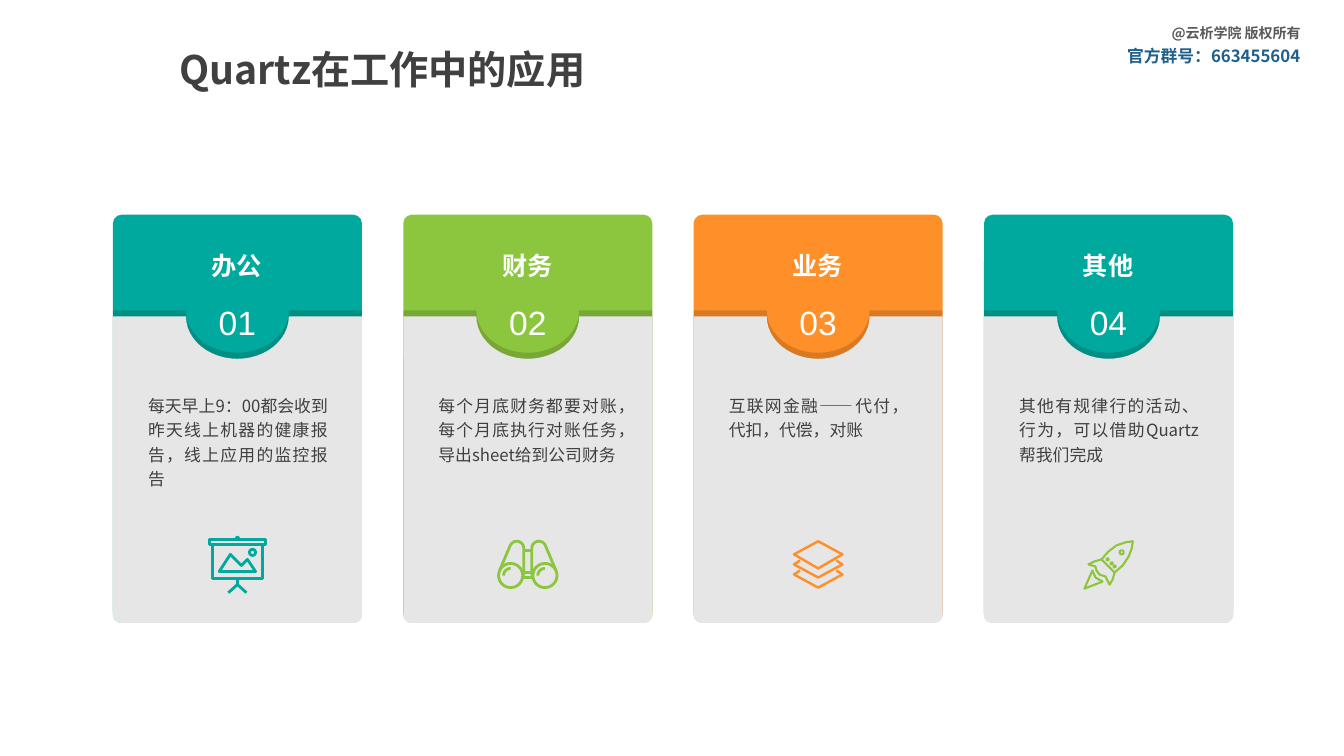
from dataclasses import dataclass
from math import cos, radians, sin

from lxml.etree import SubElement
from pptx import Presentation
from pptx.dml.color import RGBColor
from pptx.enum.lang import MSO_LANGUAGE_ID
from pptx.enum.shapes import MSO_SHAPE
from pptx.enum.text import MSO_ANCHOR, PP_ALIGN
from pptx.oxml.ns import qn
from pptx.util import Inches, Pt

Points = list[tuple[float, float]]


@dataclass(frozen=True)
class Theme:
    teal: str = "00A99D"
    green: str = "8CC63F"
    orange: str = "FF8F29"
    panel: str = "E7E6E6"
    dark: str = "404040"
    gray: str = "595959"
    blue: str = "1F608B"
    white: str = "FFFFFF"
    cjk: str = "Noto Sans CJK SC"
    latin: str = "Arial"
    title: int = 28
    number: int = 24
    heading: int = 18
    body: int = 12
    small: int = 10


@dataclass(frozen=True)
class Stroke:
    points: Points
    closed: bool = True


@dataclass(frozen=True)
class Icon:
    strokes: list[Stroke]
    color: str
    width: float


@dataclass(frozen=True)
class Card:
    heading: str
    body: str
    color: str
    icon: Icon


T = Theme()


# Geometry helpers, in inches; angles run clockwise from the right
def arc(cx: float, cy: float, rx: float, ry: float, start: int, end: int) -> Points:
    steps = 24
    angles = [radians(start + (end - start) * i / steps) for i in range(steps + 1)]
    return [(cx + rx * cos(a), cy + ry * sin(a)) for a in angles]


def ring(cx: float, cy: float, radius: float) -> Stroke:
    return Stroke(arc(cx, cy, radius, radius, 0, 360))


def box(x1: float, y1: float, x2: float, y2: float) -> Stroke:
    return Stroke([(x1, y1), (x2, y1), (x2, y2), (x1, y2)])


# Icon outlines, measured from the icon centre
screen = [
    ring(0, -0.26, 0.01), box(-0.28, -0.25, 0.28, -0.2), box(-0.25, -0.2, 0.25, 0.14),
    Stroke([(0, 0.14), (0, 0.2)], False),
    Stroke([(-0.09, 0.28), (0, 0.2), (0.09, 0.28)], False),
    ring(0.15, -0.12, 0.03),
    Stroke([(-0.18, 0.07), (-0.07, -0.1), (0.04, 0.01), (0.1, -0.05), (0.18, 0.07)]),
]
binoculars = [Stroke([(-0.04, y), (0.04, y)], False) for y in (-0.14, 0.08, 0.13)]
for side in (-1, 1):
    tube = [(-0.28, 0.06), *arc(-0.11, -0.16, 0.07, 0.07, 200, 360), (-0.04, 0.11)]
    binoculars += [
        ring(side * 0.17, 0.11, 0.12),
        Stroke([(-side * x, y) for x, y in tube], False),
        Stroke(arc(side * 0.17, 0.11, 0.07, 0.07, 180, 270), False),
    ]
layers = [Stroke([(0, -0.23), (0.24, -0.1), (0, 0.04), (-0.24, -0.1)])] + [
    Stroke([(0.18, y - 0.04), (0.24, y), (0, y + 0.13), (-0.24, y), (-0.18, y - 0.04)], False)
    for y in (0, 0.1)
]
rocket = [
    Stroke([(0.24, -0.23), (0.17, -0.22), (0.08, -0.19), (0, -0.13), (-0.07, -0.05),
            (0.06, 0.08), (0.14, 0.01), (0.2, -0.08), (0.23, -0.16)]),
    Stroke([(-0.07, -0.05), (-0.14, -0.03), (-0.2, 0), (-0.13, 0.02), (-0.12, 0.06),
            (-0.09, 0.1), (-0.03, 0.12), (0.01, 0.2), (0.04, 0.15), (0.06, 0.08)], False),
    Stroke([(-0.16, 0.06), (-0.24, 0.24), (-0.06, 0.17), (-0.13, 0.13)]),
    ring(0.13, -0.12, 0.02),
    *[ring(d, d - 0.04, 0.01) for d in (-0.01, 0.03, 0.06)],
]

CARDS = [
    Card("办公", "每天早上9：00都会收到昨天线上机器的健康报告，线上应用的监控报告",
         T.teal, Icon(screen, T.teal, 2)),
    Card("财务", "每个月底财务都要对账，每个月底执行对账任务，导出sheet给到公司财务",
         T.green, Icon(binoculars, T.green, 2)),
    Card("业务", "互联网金融——代付，代扣，代偿，对账", T.orange, Icon(layers, T.orange, 1.75)),
    Card("其他", "其他有规律行的活动、行为，可以借助Quartz帮我们完成",
         T.teal, Icon(rocket, T.green, 1.5)),
]
LEFT, PITCH, WIDTH = 1.12, 2.88, 2.47
TOP, SPLIT, BOTTOM = 2.13, 3.14, 6.18
ICON_Y = 5.6


def rgb(color: str) -> RGBColor:
    return RGBColor.from_string(color)


def write(sp, text: str, size: int, color: str, bold: bool = False, font: str = T.cjk,
          align=PP_ALIGN.LEFT, spacing: float = 1.0, wrap: bool = True,
          anchor=MSO_ANCHOR.TOP) -> None:
    tf = sp.text_frame
    p = tf.paragraphs[0]
    r = p.add_run()
    r.text = text
    r.font.color.rgb = rgb(color)
    formats = {
        tf: {"word_wrap": wrap, "vertical_anchor": anchor},
        p: {"alignment": align, "line_spacing": spacing},
        r.font: {"size": Pt(size), "bold": bold, "name": font,
                 "language_id": MSO_LANGUAGE_ID.SIMPLIFIED_CHINESE},
    }
    for target, values in formats.items():
        for name, value in values.items():
            setattr(target, name, value)
    SubElement(r.font._element, qn("a:ea")).set("typeface", font)


def add_text(s, x: float, y: float, w: float, h: float, text: str, size: int,
             color: str, **style) -> None:
    sp = s.shapes.add_textbox(Inches(x), Inches(y), Inches(w), Inches(h))
    write(sp, text, size, color, **style)


def add_outline(s, strokes: list[Stroke], dx: float = 0, dy: float = 0):
    contours = [[(Inches(x + dx), Inches(y + dy)) for x, y in k.points] for k in strokes]
    builder = s.shapes.build_freeform(*contours[0][0])
    for i, (stroke, points) in enumerate(zip(strokes, contours)):
        if i:
            builder.move_to(*points[0])
        builder.add_line_segments(points[1:], close=stroke.closed)
    sp = builder.convert_to_shape()
    sp.shadow.inherit = False
    return sp


def add_panel(s, x: float) -> None:
    right, mid = x + WIDTH, x + WIDTH / 2
    points = [(x, SPLIT), *arc(mid, SPLIT, 0.51, 0.42, 180, 0), (right, SPLIT),
              *arc(right - 0.09, BOTTOM - 0.07, 0.09, 0.07, 0, 90),
              *arc(x + 0.09, BOTTOM - 0.07, 0.09, 0.07, 90, 180)]
    sp = add_outline(s, [Stroke(points)])
    sp.fill.solid()
    sp.fill.fore_color.rgb = rgb(T.panel)
    sp.line.fill.background()
    # Hard shadow cast upwards onto the coloured header
    effects = sp._element.spPr.find(qn("a:effectLst"))
    shadow = SubElement(effects, qn("a:outerShdw"), blurRad="0", dist=str(Pt(4.3)),
                        dir="16200000", algn="b", rotWithShape="0")
    tint = SubElement(shadow, qn("a:srgbClr"), val="000000")
    SubElement(tint, qn("a:alpha"), val="14000")


def add_icon(s, icon: Icon, cx: float) -> None:
    sp = add_outline(s, icon.strokes, cx, ICON_Y)
    sp.fill.background()
    sp.line.color.rgb = rgb(icon.color)
    sp.line.width = Pt(icon.width)


def add_card(s, index: int, card: Card) -> None:
    x = LEFT + index * PITCH
    base = s.shapes.add_shape(MSO_SHAPE.ROUNDED_RECTANGLE, Inches(x), Inches(TOP),
                              Inches(WIDTH), Inches(BOTTOM - TOP))
    base.adjustments[0] = 0.035
    base.shadow.inherit = False
    base.fill.solid()
    base.fill.fore_color.rgb = rgb(card.color)
    base.line.fill.background()
    add_panel(s, x)
    add_text(s, x + 0.82, 2.95, 0.83, 0.77, f"{index + 1:02}", T.number, T.white,
             font=T.latin, align=PP_ALIGN.CENTER, wrap=False)
    add_text(s, x + 0.11, 2.37, 2.24, 0.43, card.heading, T.heading, T.white,
             bold=True, align=PP_ALIGN.CENTER, spacing=1.2)
    add_text(s, x + 0.25, 3.84, 1.98, 1.07, card.body, T.body, T.dark,
             align=PP_ALIGN.JUSTIFY, spacing=1.2)
    add_icon(s, card.icon, x + WIDTH / 2)


def main() -> None:
    prs = Presentation()
    prs.slide_width, prs.slide_height = Inches(13.33), Inches(7.5)
    s = prs.slides.add_slide(prs.slide_layouts[5])
    # Title
    title = s.shapes.title
    place = {"left": 1.68, "top": 0.4, "width": 6.69, "height": 0.57}
    for name, value in place.items():
        setattr(title, name, Inches(value))
    write(title, "Quartz在工作中的应用", T.title, T.dark, bold=True)
    # Cards
    for index, card in enumerate(CARDS):
        add_card(s, index, card)
    # Copyright and group number
    add_text(s, 11.43, 0.17, 1.66, 0.31, "@云析学院 版权所有", T.small, T.gray, bold=True,
             align=PP_ALIGN.CENTER, anchor=MSO_ANCHOR.MIDDLE)
    add_text(s, 11.08, 0.4, 1.96, 0.31, "官方群号：663455604", T.body, T.blue, bold=True,
             wrap=False)
    prs.save("out.pptx")


if __name__ == "__main__":
    main()
